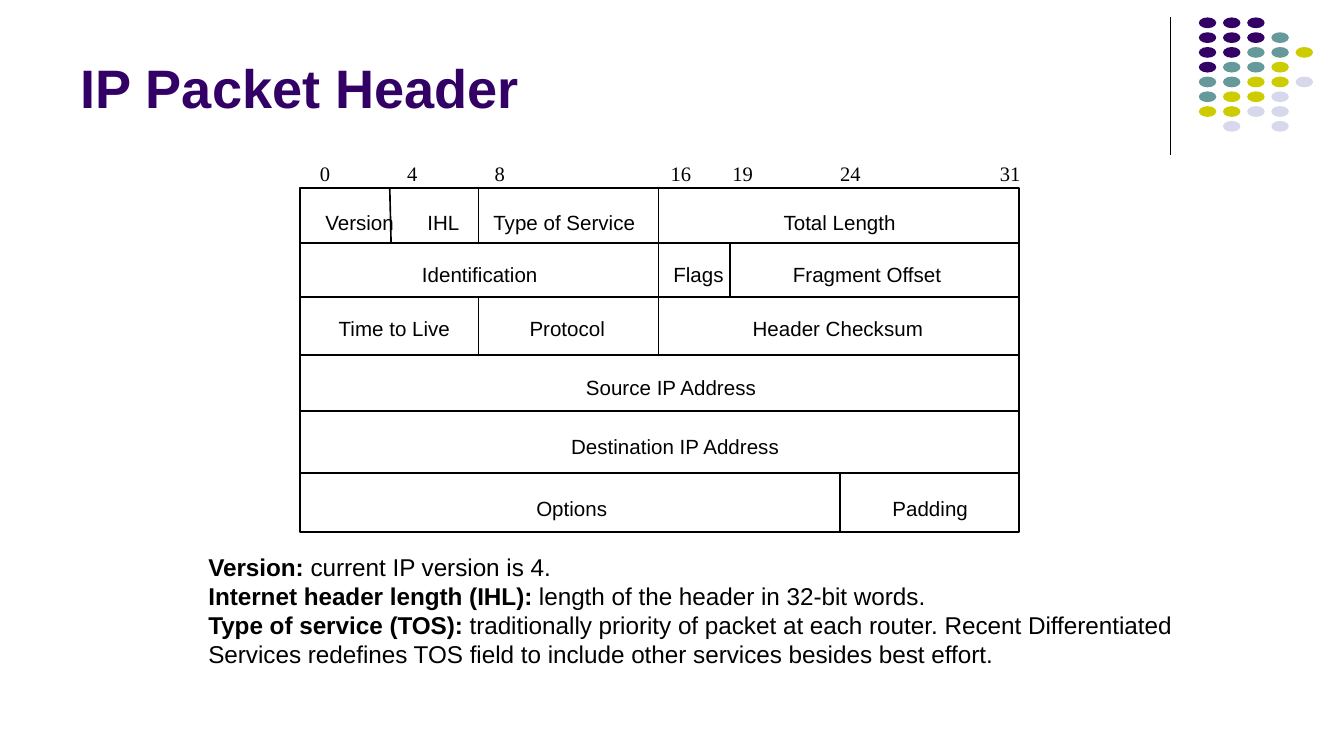
from dataclasses import dataclass

from lxml import etree
from pptx import Presentation
from pptx.dml.color import RGBColor
from pptx.enum.shapes import MSO_CONNECTOR, MSO_SHAPE
from pptx.enum.text import MSO_ANCHOR, MSO_AUTO_SIZE, PP_ALIGN
from pptx.oxml.ns import qn
from pptx.slide import Slide
from pptx.util import Inches, Pt

LINE = MSO_CONNECTOR.STRAIGHT
OVAL = MSO_SHAPE.OVAL
RECT = MSO_SHAPE.RECTANGLE
BOTTOM = MSO_ANCHOR.BOTTOM
TOP = MSO_ANCHOR.TOP
LEFT = PP_ALIGN.LEFT
NO_FIT = MSO_AUTO_SIZE.NONE

COLORS = {
    "ink": "000000",
    "purple": "330066",
    "teal": "669999",
    "olive": "CCCC00",
    "pale": "D8D8EC",
}
DOTS = ["PPP", "PPPT", "PPTTO", "PTTO", "TTOOL", "TOOL", "OOLL", " L L"]
SHADES = {"P": "purple", "T": "teal", "O": "olive", "L": "pale"}


@dataclass
class Label:
    text: str
    left: float


@dataclass
class Row:
    top: float
    width: float
    labels: list[Label]
    font: str = "Arial"


@dataclass
class Rule:
    x1: float
    y1: float
    x2: float
    y2: float
    width: float = 0.88


@dataclass
class Note:
    term: str
    text: str


ROWS = [
    Row(1.2, 5.25, [Label("0", 2.38), Label("4", 3.03), Label("8", 3.68),
                    Label("16", 4.99), Label("19", 5.45), Label("24", 6.25),
                    Label("31", 7.44)], "Times New Roman"),
    Row(1.56, 4.35, [Label("Version", 2.42), Label("IHL", 3.18),
                     Label("Type of Service", 3.67),
                     Label("Total Length", 5.83)]),
    Row(1.95, 3.9, [Label("Identification", 3.14), Label("Flags", 5.01),
                    Label("Fragment Offset", 5.9)]),
    Row(2.35, 4.4, [Label("Time to Live", 2.52), Label("Protocol", 3.94),
                    Label("Header Checksum", 5.6)]),
    Row(2.79, 1.3, [Label("Source IP Address", 4.36)]),
    Row(3.23, 1.6, [Label("Destination IP Address", 4.25)]),
    Row(3.69, 3.25, [Label("Options", 3.99), Label("Padding", 6.64)]),
]
LEVELS = [1.81, 2.21, 2.64, 3.06, 3.52]
RULES = [Rule(2.23, y, 7.58, y) for y in LEVELS] + [
    Rule(4.9, 1.4, 4.9, 2.64),
    Rule(3.56, 2.21, 3.56, 2.64),
    Rule(3.56, 1.4, 3.56, 1.81),
    Rule(2.9, 1.4, 2.91, 1.81),
    Rule(5.43, 1.81, 5.43, 2.21),
    Rule(6.25, 3.52, 6.25, 3.96),
    Rule(8.71, 0.13, 8.71, 1.15, 0.75),
]
NOTES = [
    Note("Version:", " current IP version is 4."),
    Note("Internet header length (IHL):",
         " length of the header in 32-bit words."),
    Note("Type of service (TOS):",
         " traditionally priority of packet at each router. Recent "
         "Differentiated Services redefines TOS field to include other "
         "services besides best effort."),
]


def color(name: str) -> RGBColor:
    return RGBColor.from_string(COLORS[name])


def style(para, size: float, name: str = "ink", face: str = "Arial") -> None:
    para.alignment = LEFT
    para.font.name = face
    para.font.size = Pt(size)
    para.font.color.rgb = color(name)


def place(shape, left: float, top: float, width: float, height: float) -> None:
    shape.left, shape.top = Inches(left), Inches(top)
    shape.width, shape.height = Inches(width), Inches(height)


def draw_dots(slide: Slide) -> None:
    for row, marks in enumerate(DOTS):
        for col, mark in enumerate(marks):
            if mark == " ":
                continue
            dot = slide.shapes.add_shape(
                OVAL, Inches(8.92 + 0.18 * col), Inches(0.13 + 0.11 * row),
                Inches(0.13), Inches(0.08))
            dot.shadow.inherit = False
            dot.fill.solid()
            dot.fill.fore_color.rgb = color(SHADES[mark])
            dot.line.fill.background()


def draw_rule(slide: Slide, rule: Rule) -> None:
    line = slide.shapes.add_connector(
        LINE, Inches(rule.x1), Inches(rule.y1),
        Inches(rule.x2), Inches(rule.y2))
    line.line.color.rgb = color("ink")
    line.line.width = Pt(rule.width)
    etree.SubElement(line._element.spPr, qn("a:effectLst"))


def draw_frame(slide: Slide) -> None:
    frame = slide.shapes.add_shape(
        RECT, Inches(2.23), Inches(1.4), Inches(5.35), Inches(2.56))
    frame.shadow.inherit = False
    frame.fill.background()
    frame.line.color.rgb = color("ink")
    frame.line.width = Pt(0.88)


def set_tabs(para, stops: list[float]) -> None:
    tabs = etree.Element(qn("a:tabLst"))
    for stop in stops:
        etree.SubElement(tabs, qn("a:tab"), pos=str(Inches(stop)), algn="l")
    para._p.pPr.find(qn("a:defRPr")).addprevious(tabs)


def draw_row(slide: Slide, row: Row) -> None:
    start = row.labels[0].left
    box = slide.shapes.add_textbox(
        Inches(start), Inches(row.top), Inches(row.width), Inches(0.18))
    text = box.text_frame
    text.word_wrap = True
    text.margin_left = text.margin_right = 0
    text.margin_top = text.margin_bottom = 0
    text.text = "\t".join(label.text for label in row.labels)
    para = text.paragraphs[0]
    style(para, 11, face=row.font)
    if len(row.labels) > 1:
        set_tabs(para, [label.left - start for label in row.labels[1:]])


def write_title(slide: Slide) -> None:
    title = slide.shapes.title
    place(title, 0.5, 0.1, 8.25, 0.84)
    text = title.text_frame
    text.text = "IP Packet Header"
    text.auto_size = NO_FIT
    text.vertical_anchor = BOTTOM
    style(text.paragraphs[0], 29, "purple")
    text.paragraphs[0].font.bold = True


def write_notes(slide: Slide) -> None:
    body = slide.placeholders[1]
    place(body, 1.45, 4.06, 7.54, 0.97)
    text = body.text_frame
    text.auto_size = NO_FIT
    text.vertical_anchor = TOP
    for num, note in enumerate(NOTES):
        para = text.add_paragraph() if num else text.paragraphs[0]
        style(para, 13)
        para.space_before = Pt(0)
        para.line_spacing = Pt(15.6)
        props = para._p.get_or_add_pPr()
        props.set("marL", "0")
        props.set("indent", "0")
        mark = etree.Element(qn("a:buNone"))
        props.find(qn("a:defRPr")).addprevious(mark)
        term = para.add_run()
        term.text = note.term
        term.font.bold = True
        para.add_run().text = note.text


def main() -> None:
    deck = Presentation()
    deck.slide_width = Inches(10)
    deck.slide_height = deck.slide_width * 9 // 16
    slide = deck.slides.add_slide(deck.slide_layouts[1])
    draw_dots(slide)
    write_title(slide)
    draw_frame(slide)
    for rule in RULES:
        draw_rule(slide, rule)
    for row in ROWS:
        draw_row(slide, row)
    write_notes(slide)
    deck.save("out.pptx")


if __name__ == "__main__":
    main()
